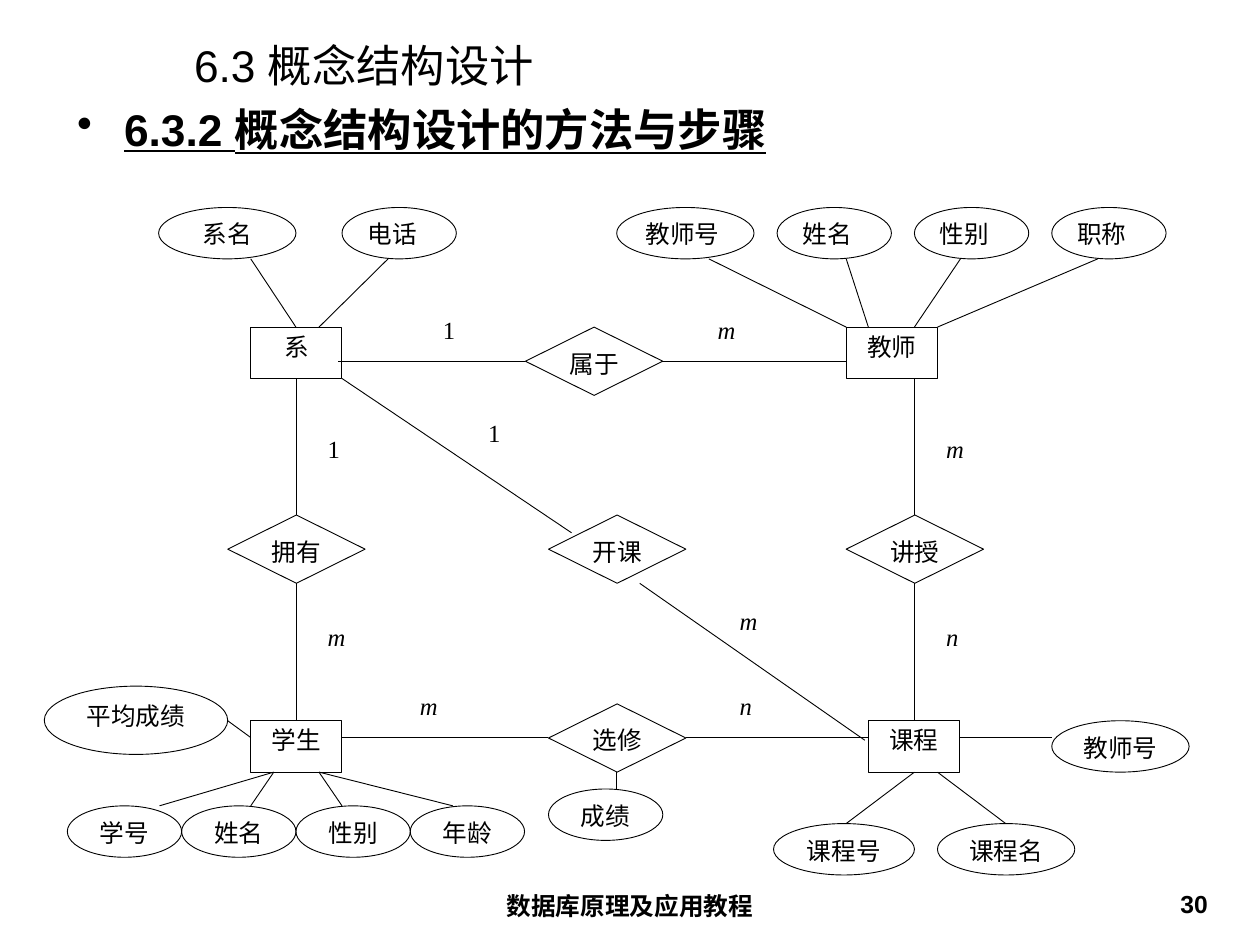
from lxml.etree import SubElement
from pptx import Presentation
from pptx.dml.color import RGBColor
from pptx.enum.shapes import MSO_CONNECTOR, MSO_SHAPE
from pptx.enum.text import MSO_ANCHOR, PP_ALIGN
from pptx.oxml.ns import qn
from pptx.util import Pt

PX = 9144
SLIDE_SIZE = (1422, 1066)
COLORS = {"ink": "000000"}
HEADING_FONT, DIAGRAM_FONT = "Arial", "Times New Roman"
LEFT, CENTER, RIGHT = PP_ALIGN.LEFT, PP_ALIGN.CENTER, PP_ALIGN.RIGHT

TITLE = "6.3 概念结构设计"
SUBTITLE = "6.3.2 概念结构设计的方法与步骤"
FOOTER = "数据库原理及应用教程"
PAGE_NUMBER = "30"

ENTITY_SIZE = (103, 58)
ENTITIES = [("系", 283, 369), ("教师", 955, 369), ("学生", 283, 813), ("课程", 980, 813)]

RELATION_SIZE = (155, 77)
RELATIONS = [("属于", 593, 369), ("拥有", 257, 581), ("开课", 619, 581),
             ("讲授", 955, 581), ("选修", 619, 794)]

ATTRIBUTE_HEIGHT = 58
STUDENT_ATTRIBUTES = ["学号", "姓名", "性别", "年龄"]
TEACHER_ATTRIBUTES = ["姓名", "性别", "职称"]
ATTRIBUTES = [
    ("系名", 179, 234, 155, ATTRIBUTE_HEIGHT, CENTER),
    ("电话", 386, 234, 129, ATTRIBUTE_HEIGHT, LEFT),
    ("教师号", 696, 234, 155, ATTRIBUTE_HEIGHT, LEFT),
    ("平均成绩", 50, 774, 207, 77, CENTER),
    ("成绩", 619, 890, 129, ATTRIBUTE_HEIGHT, CENTER),
    ("教师号", 1187, 813, 155, ATTRIBUTE_HEIGHT, CENTER),
    ("课程号", 873, 929, 159, ATTRIBUTE_HEIGHT, CENTER),
    ("课程名", 1058, 929, 155, ATTRIBUTE_HEIGHT, CENTER),
]
ATTRIBUTES += [(name, 76 + 129 * i, 909, 129, ATTRIBUTE_HEIGHT, CENTER)
               for i, name in enumerate(STUDENT_ATTRIBUTES)]
ATTRIBUTES += [(name, 877 + 155 * i, 234, 129, ATTRIBUTE_HEIGHT, LEFT)
               for i, name in enumerate(TEACHER_ATTRIBUTES)]

CARDINALITY_SIZE = (77, 58)
CARDINALITIES = [
    ("1", 490, 350), ("m", 800, 350), ("1", 541, 466), ("m", 825, 678),
    ("1", 360, 485), ("m", 360, 697), ("m", 1058, 485), ("n", 1058, 697),
    ("m", 464, 774), ("n", 825, 774),
]

DOWNWARD_LINES = [
    (292, 369, [(283, 334), (438, 360), (800, 955), (955, 980), (1084, 1032), (1239, 1058)]),
    (427, 581, [(335, 335), (1032, 1032)]),
    (658, 813, [(335, 335), (1032, 1032)]),
    (871, 909, [(309, 180), (309, 283), (360, 386), (360, 511)]),
    (871, 890, [(696, 696)]),
    (871, 929, [(1032, 955), (1058, 1135)]),
]
LEVEL_LINES = [
    (408, [(382, 593), (748, 955)]),
    (832, [(386, 619), (774, 980), (1084, 1187)]),
]
SLANTED_LINES = [(386, 427, 645, 601), (722, 658, 976, 835), (257, 813, 283, 832)]


def color(name):
    return RGBColor.from_string(COLORS[name])


def write(shape, text, font_name, size, align=LEFT, margins=(10, 5),
          anchor=MSO_ANCHOR.TOP, bold=False, italic=False):
    frame = shape.text_frame
    frame.word_wrap = True
    frame.vertical_anchor = anchor
    frame.margin_left = frame.margin_right = margins[0] * PX
    frame.margin_top = frame.margin_bottom = margins[1] * PX
    frame.text = text
    paragraph = frame.paragraphs[0]
    paragraph.alignment = align
    font = paragraph.runs[0].font
    font.name, font.size = font_name, Pt(size)
    font.bold, font.italic = bold, italic
    font.color.rgb = color("ink")
    return paragraph


def add_text(slide, box, text, font_name, size, **options):
    textbox = slide.shapes.add_textbox(*(value * PX for value in box))
    return write(textbox, text, font_name, size, **options)


def add_node(slide, kind, box, text, align=CENTER):
    shape = slide.shapes.add_shape(kind, *(value * PX for value in box))
    shape.shadow.inherit = False
    shape.fill.background()
    shape.line.color.rgb = color("ink")
    shape.line.width = Pt(0.75)
    write(shape, text, DIAGRAM_FONT, 20, align=align)


def add_line(slide, *ends):
    connector = slide.shapes.add_connector(
        MSO_CONNECTOR.STRAIGHT, *(value * PX for value in ends))
    connector.line.color.rgb = color("ink")
    connector.line.width = Pt(0.75)
    SubElement(connector._element.spPr, qn("a:effectLst"))


def add_bullet(paragraph, indent):
    properties = paragraph._p.get_or_add_pPr()
    properties.set("marL", str(indent * PX))
    properties.set("indent", str(-indent * PX))
    SubElement(properties, qn("a:buChar"), char="•")


def add_headings(slide):
    wide = (14, 7)
    add_text(slide, (205, 45, 1183, 57), TITLE, HEADING_FONT, 36,
             margins=wide, anchor=MSO_ANCHOR.MIDDLE)
    subtitle = add_text(slide, (73, 108, 1280, 89), SUBTITLE, HEADING_FONT, 36,
                        margins=wide, bold=True)
    add_bullet(subtitle, 53)
    subtitle.runs[0].font.underline = True
    add_text(slide, (486, 998, 450, 55), FOOTER, HEADING_FONT, 20,
             align=CENTER, margins=wide, bold=True)
    add_text(slide, (1041, 998, 332, 55), PAGE_NUMBER, HEADING_FONT, 20,
             align=RIGHT, bold=True)


def add_diagram(slide):
    for name, x, y in ENTITIES:
        add_node(slide, MSO_SHAPE.RECTANGLE, (x, y, *ENTITY_SIZE), name)
    for name, x, y in RELATIONS:
        add_node(slide, MSO_SHAPE.DIAMOND, (x, y, *RELATION_SIZE), name)
    for name, *box, align in ATTRIBUTES:
        add_node(slide, MSO_SHAPE.OVAL, box, name, align)
    for top, bottom, pairs in DOWNWARD_LINES:
        for upper_x, lower_x in pairs:
            add_line(slide, upper_x, top, lower_x, bottom)
    for y, spans in LEVEL_LINES:
        for start, end in spans:
            add_line(slide, start, y, end, y)
    for ends in SLANTED_LINES:
        add_line(slide, *ends)
    for text, x, y in CARDINALITIES:
        add_text(slide, (x, y, *CARDINALITY_SIZE), text, DIAGRAM_FONT, 20,
                 italic=text.isalpha())


def main():
    presentation = Presentation()
    presentation.slide_width, presentation.slide_height = (value * PX for value in SLIDE_SIZE)
    slide = presentation.slides.add_slide(presentation.slide_layouts[6])
    add_headings(slide)
    add_diagram(slide)
    presentation.save("out.pptx")


if __name__ == "__main__":
    main()
